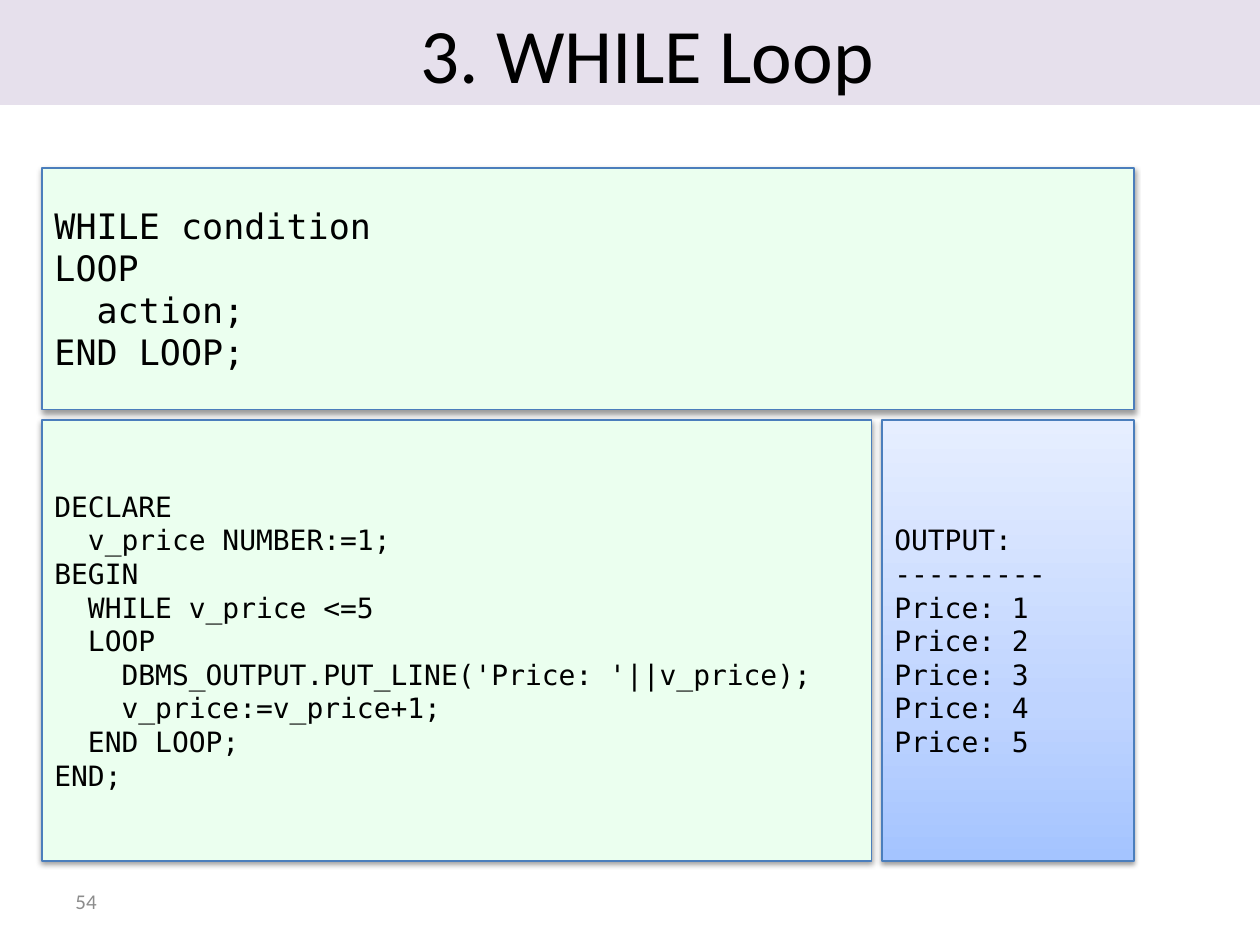
from lxml.etree import SubElement
from pptx import Presentation
from pptx.dml.color import RGBColor
from pptx.enum.shapes import MSO_SHAPE as Shape
from pptx.enum.text import MSO_ANCHOR as Anchor, MSO_AUTO_SIZE as Fit, PP_ALIGN as Align
from pptx.oxml.ns import qn
from pptx.util import Pt

SYNTAX = """WHILE condition
LOOP
  action;
END LOOP;"""

CODE = """DECLARE
  v_price NUMBER:=1;
BEGIN
  WHILE v_price <=5
  LOOP
    DBMS_OUTPUT.PUT_LINE('Price: '||v_price);
    v_price:=v_price+1;
  END LOOP;
END;"""

OUTPUT = "\n".join(["OUTPUT:", "-" * 9] + [f"Price: {n}" for n in range(1, 6)])


def paint(color, value):
    color.rgb = RGBColor.from_string(value)


def write(frame, text, size=16, font="Calibri", color="000000", align=Align.LEFT):
    frame.word_wrap = True
    frame.auto_size = Fit.NONE
    frame.vertical_anchor = Anchor.MIDDLE
    frame.text = text
    for para in frame.paragraphs:
        para.alignment = align
        for run in para.runs:
            run.font.size = Pt(size)
            run.font.name = font
            paint(run.font.color, color)


class Deck:
    mono = "DejaVu Sans Mono"
    edge = "4B7EBC"
    mint = "EBFFEF"
    blues = [(0, "A4C4FF"), (35, "BFD4FF"), (100, "E6EEFF")]

    def __init__(self):
        self.prs = Presentation()
        self.prs.slide_width, self.prs.slide_height = Pt(720), Pt(540)
        self.slide = self.prs.slides.add_slide(self.prs.slide_layouts[5])

    def title(self, text, height, shift):
        box = self.slide.shapes.title
        box.left, box.top, box.width, box.height = 0, 0, Pt(720), Pt(height)
        box.fill.solid()
        paint(box.fill.fore_color, "E6E0EC")
        write(box.text_frame, text, size=44, align=Align.CENTER)
        box.text_frame.margin_left = Pt(7.2 + shift)

    def label(self, text, *place, **style):
        box = self.slide.shapes.add_textbox(*map(Pt, place))
        write(box.text_frame, text, **style)

    def panel(self, text, *place, size=16, stops=None):
        box = self.slide.shapes.add_shape(Shape.RECTANGLE, *map(Pt, place))
        if stops:
            self.blend(box, stops)
        else:
            box.fill.solid()
            paint(box.fill.fore_color, self.mint)
        paint(box.line.color, self.edge)
        box.line.width = Pt(0.75)
        self.shade(box)
        write(box.text_frame, text, size=size, font=self.mono)

    def blend(self, box, stops):
        """Fill from bottom to top with the given colour stops."""
        box.fill.gradient()
        box.fill.gradient_angle = 90
        group = box._element.spPr.find(qn("a:gradFill")).find(qn("a:gsLst"))
        group.clear()
        for pos, value in stops:
            stop = SubElement(group, qn("a:gs"), pos=str(pos * 1000))
            SubElement(stop, qn("a:srgbClr"), val=value)

    def shade(self, box):
        """Cast a soft shadow straight down."""
        box.shadow.inherit = False
        effects = box._element.spPr.find(qn("a:effectLst"))
        cast = SubElement(effects, qn("a:outerShdw"), blurRad=str(Pt(3.1)),
                          dist=str(Pt(1.6)), dir="5400000", rotWithShape="0")
        tint = SubElement(cast, qn("a:srgbClr"), val="000000")
        SubElement(tint, qn("a:alpha"), val="38000")


def main():
    deck = Deck()
    left, gap, wide, side = 24, 6, 624, 144
    top, low, tall = 96, 240, 252

    # Title band and page number
    deck.title("3. WHILE Loop", height=60, shift=20)
    deck.label("54", 36, 500.5, 168, 28.75, size=12, color="8C8C8C")

    # Example code below, syntax above
    deck.panel(CODE, left, low, wide - side - gap, tall)
    deck.panel(SYNTAX, left, top, wide, low - gap - top, size=20)

    # Result of the example
    deck.panel(OUTPUT, left + wide - side, low, side, tall, stops=deck.blues)

    deck.prs.save("out.pptx")


if __name__ == "__main__":
    main()
